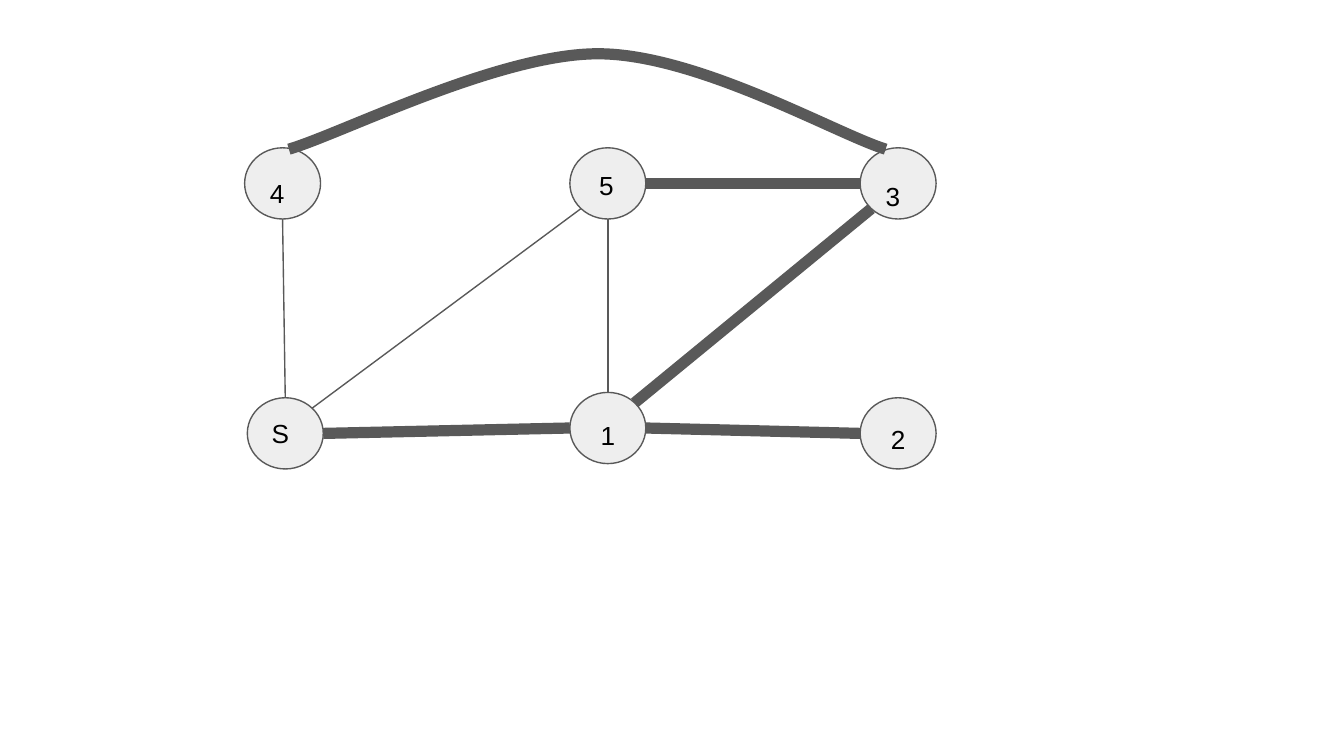
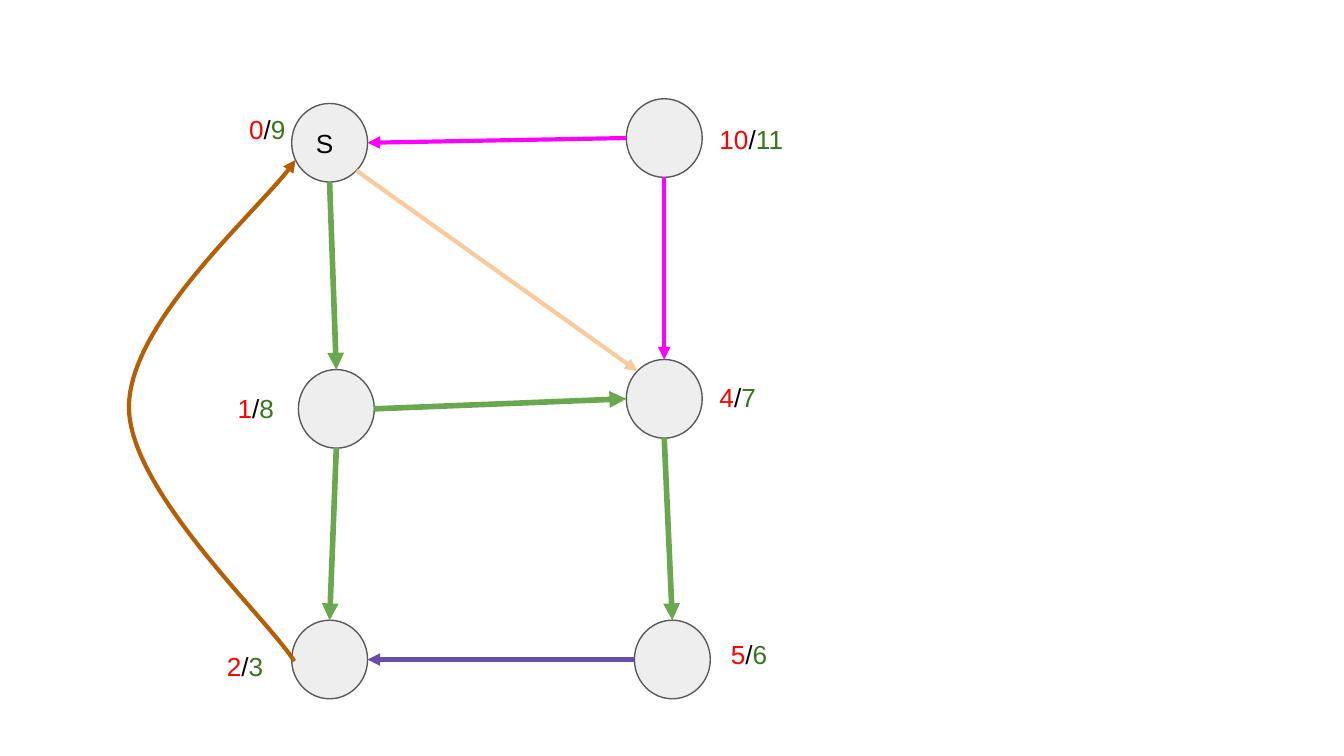
import math

import pptx
import pptx.dml.color
import pptx.enum.shapes
import pptx.enum.text
import pptx.oxml
import pptx.oxml.ns
import pptx.util

PX = 4572
INK = {
    "node": "EEEEEE", "gray": "595959", "black": "000000", "red": "FF0000",
    "dark": "38761D", "green": "6AA84F", "pink": "FF00FF",
    "violet": "674EA7", "brown": "B45F06", "peach": "F9CB9C",
}
FONT = {"name": "Arial", "size": pptx.util.Pt(14)}
INSET = 20 * PX
FRAME = {
    "margin_left": INSET, "margin_right": INSET,
    "margin_top": INSET, "margin_bottom": INSET, "word_wrap": True,
}
SIDES = {side: i * math.pi / 4 for i, side in enumerate("e se s sw w nw n ne".split())}


def color(name):
    """Return the named colour."""
    return pptx.dml.color.RGBColor.from_string(INK[name])


def style(item, values):
    """Set each attribute of an item from a dict."""
    for key, value in values.items():
        setattr(item, key, value)


def write(shape, parts, anchor):
    """Write coloured text parts as one left-aligned paragraph."""
    frame = shape.text_frame
    style(frame, {**FRAME, "vertical_anchor": anchor})
    para = frame.paragraphs[0]
    para.alignment = pptx.enum.text.PP_ALIGN.LEFT
    for text, ink in parts:
        run = para.add_run()
        run.text = text
        style(run.font, FONT)
        run.font.color.rgb = color(ink)


def stroke(shape, ink, width, arrow=False):
    """Set a line's colour, width and arrowhead."""
    shape.line.color.rgb = color(ink)
    shape.line.width = pptx.util.Pt(width)
    if arrow:
        tail = pptx.oxml.parse_xml(
            f'<a:tailEnd {pptx.oxml.ns.nsdecls("a")} type="triangle"/>')
        shape.line._get_or_add_ln().append(tail)


def node(slide, box, text=""):
    """Draw a graph node with an optional name."""
    oval = slide.shapes.add_shape(
        pptx.enum.shapes.MSO_SHAPE.OVAL, *(n * PX for n in box))
    oval.shadow.inherit = False
    oval.fill.solid()
    oval.fill.fore_color.rgb = color("node")
    stroke(oval, "gray", 0.75)
    if text:
        write(oval, [(text, "black")], pptx.enum.text.MSO_ANCHOR.MIDDLE)


def port(box, side):
    """Return the point on a node's rim at a compass side."""
    left, top, wide, high = box
    turn = SIDES[side]
    return (round((left + wide / 2 * (1 + math.cos(turn))) * PX),
            round((top + high / 2 * (1 + math.sin(turn))) * PX))


def edge(slide, start, end, ink, width, arrow):
    """Draw a straight edge between two points."""
    link = slide.shapes.add_connector(
        pptx.enum.shapes.MSO_CONNECTOR.STRAIGHT, *start, *end)
    props = link._element.spPr
    stroke(link, ink, width, arrow)
    props.append(pptx.oxml.parse_xml(f'<a:effectLst {pptx.oxml.ns.nsdecls("a")}/>'))


def curve(slide, points, ink, width, arrow):
    """Draw a chain of cubic curves through groups of three points."""
    draft = slide.shapes.build_freeform(*points[0], scale=PX)
    draft.add_line_segments(points[1:], close=False)
    shape = draft.convert_to_shape()
    shape.shadow.inherit = False
    shape.fill.background()
    stroke(shape, ink, width, arrow)
    tag = pptx.oxml.ns.qn
    steps = list(shape._element.iter(tag("a:lnTo")))
    for i in range(0, len(steps), 3):
        bend = pptx.oxml.parse_xml(f'<a:cubicBezTo {pptx.oxml.ns.nsdecls("a")}/>')
        steps[i].addprevious(bend)
        for step in steps[i:i + 3]:
            bend.append(step[0])
            step.getparent().remove(step)


def label(slide, box, parts):
    """Place a text label."""
    area = slide.shapes.add_textbox(*(n * PX for n in box))
    write(area, parts, pptx.enum.text.MSO_ANCHOR.TOP)


def graph(slide, box, size, spots, edges, arc, arrow):
    """Draw nodes, edges and one curved edge inside a box."""
    left, top = box[:2]
    nodes = {key: (left + x, top + y, *size) for key, (x, y) in spots.items()}
    for key, place in nodes.items():
        node(slide, place, "S" if key == "S" else "")
    for head, out, goal, into, ink, width in edges:
        edge(slide, port(nodes[head], out), port(nodes[goal], into), ink, width, arrow)
    points, ink, width = arc
    curve(slide, [(left + x, top + y) for x, y in points], ink, width, arrow)


def tree(slide, box):
    """Draw the plain graph with its thick tree edges."""
    spots = {"4": (0, 140), "S": (4, 512), "1": (484, 504),
             "2": (916, 512), "3": (916, 140), "5": (484, 140)}
    thin, thick = ("gray", 0.75), ("gray", 6)
    edges = [
        ("4", "s", "S", "n", *thin), ("S", "e", "1", "w", *thick),
        ("1", "e", "2", "w", *thick), ("1", "ne", "3", "sw", *thick),
        ("S", "ne", "5", "sw", *thin), ("5", "s", "1", "n", *thin),
        ("5", "e", "3", "w", *thick),
    ]
    arc = [(954, 142), (882, 120), (674, 0), (526, 0), (378, 0), (142, 120), (66, 142)]
    graph(slide, box, (113, 106), spots, edges, (arc, *thick), False)
    names = {"1": (510, 524, 70, 64), "2": (942, 530, 66, 62),
             "3": (934, 168, 70, 46), "4": (18, 164, 84, 64), "5": (508, 152, 70, 78)}
    for text, (x, y, wide, high) in names.items():
        label(slide, (box[0] + x, box[1] + y, wide, high), [(text, "black")])


def search(slide, box):
    """Draw the directed graph with its start and finish times."""
    spots = {"S": (242, 8), "2/3": (242, 777), "5/6": (752, 777),
             "1/8": (252, 404), "4/7": (740, 389), "10/11": (740, 1)}
    green, pink = ("green", 3), ("pink", 2.25)
    edges = [
        ("S", "s", "1/8", "n", *green), ("10/11", "w", "S", "e", *pink),
        ("10/11", "s", "4/7", "n", *pink), ("1/8", "e", "4/7", "w", *green),
        ("1/8", "s", "2/3", "n", *green), ("4/7", "s", "5/6", "n", *green),
        ("5/6", "w", "2/3", "e", "violet", 2.25),
        ("S", "se", "4/7", "nw", "peach", 2.25),
    ]
    arc = [(246, 838), (206, 774), (0, 584), (0, 460), (0, 336), (208, 154), (248, 92)]
    graph(slide, box, (113, 117), spots, edges, (arc, "brown", 2.25), True)
    times = {"0/9": (159, 2), "1/8": (142, 418), "2/3": (126, 802),
             "4/7": (859, 402), "5/6": (876, 784), "10/11": (859, 18)}
    for text, (x, y) in times.items():
        first, last = text.split("/")
        parts = [(first, "red"), ("/", "black"), (last, "dark")]
        label(slide, (box[0] + x, box[1] + y, 180, 84), parts)


def main():
    """Build and save both slides."""
    deck = pptx.Presentation()
    style(deck, {"slide_width": 2000 * PX, "slide_height": 1125 * PX})
    for draw, box in ((tree, (364, 80, 1029, 618)), (search, (192, 146, 1056, 894))):
        draw(deck.slides.add_slide(deck.slide_layouts[6]), box)
    deck.save("out.pptx")


if __name__ == "__main__":
    main()
